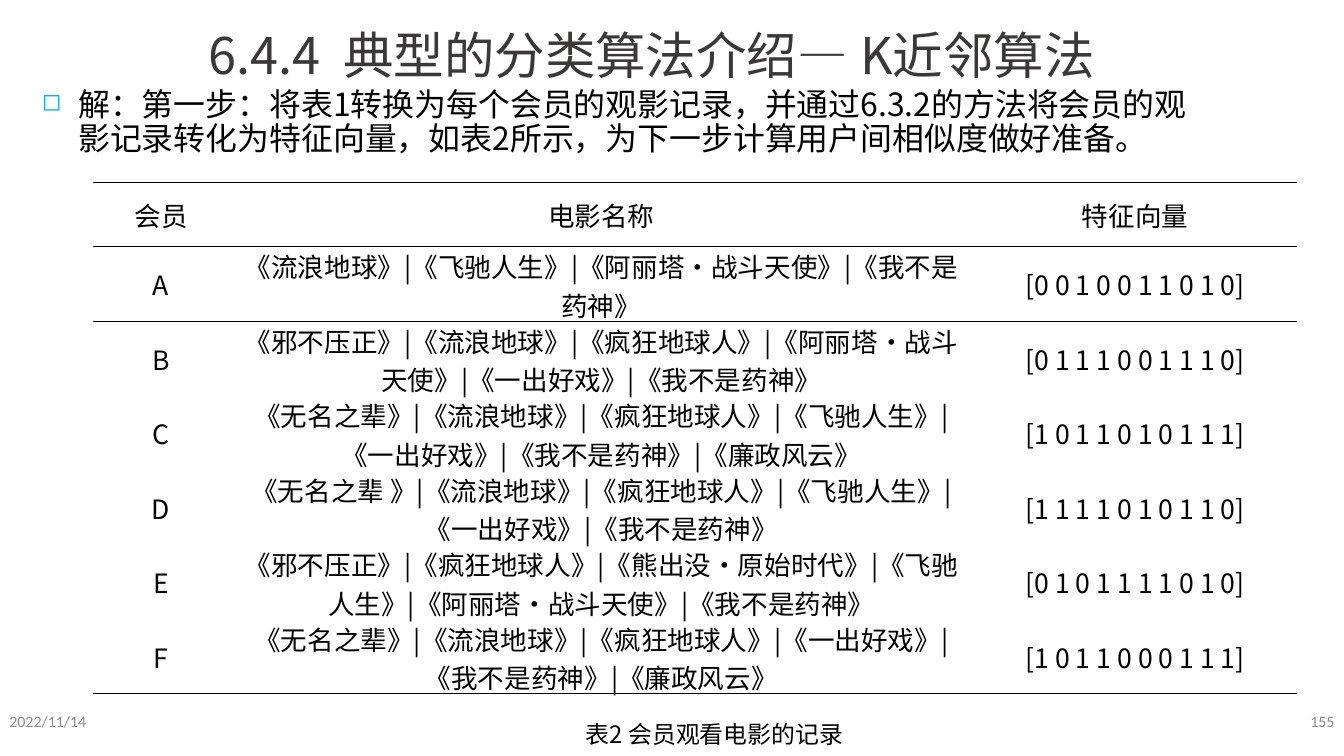
from dataclasses import dataclass

from lxml.etree import SubElement
from pptx import Presentation
from pptx.dml.color import RGBColor
from pptx.enum.text import MSO_ANCHOR as Anchor, PP_ALIGN as Align
from pptx.oxml import parse_xml
from pptx.oxml.ns import nsdecls, qn
from pptx.slide import Slide
from pptx.table import _Cell as Cell
from pptx.text.text import Font, TextFrame, _Paragraph as Paragraph
from pptx.util import Emu, Inches, Pt

COLORS = {"text": "000000", "title": "3B3838", "footer": "8C8C8C", "bullet": "00B0F2"}
CJK = "Noto Sans CJK SC"
WIDTH, HEIGHT = Inches(14.06), Inches(7.91)
PLAIN_TABLE = "{2D5ABB26-0587-4C30-8999-92F81FD0307C}"


@dataclass(frozen=True)
class Area:
    left: float
    top: float
    width: float
    height: float

    def lengths(self) -> tuple[Emu, Emu, Emu, Emu]:
        return (
            Emu(round(WIDTH * self.left / 100)),
            Emu(round(HEIGHT * self.top / 100)),
            Emu(round(WIDTH * self.width / 100)),
            Emu(round(HEIGHT * self.height / 100)),
        )


@dataclass(frozen=True)
class Style:
    size: float
    color: str = "text"
    name: str = CJK
    bold: bool = False


@dataclass(frozen=True)
class Label:
    text: str
    area: Area
    style: Style
    align: Align = Align.LEFT
    anchor: Anchor = Anchor.MIDDLE
    bullet: bool = False


@dataclass(frozen=True)
class Member:
    name: str
    films: str
    vector: str


FOOTER = Style(12, "footer", "Calibri")
TITLE_AREA = Area(14.79, 2.15, 70.34, 9.86)
TITLE_SPANS = (
    ("6.4.4  典型的分类算法介绍—", Style(38, "title")),
    (" ", Style(40, "title", bold=True)),
    ("K近邻算法", Style(38, "title")),
)
LABELS = (
    Label("2022/11/14", Area(0, 92.67, 22.48, 5.31), FOOTER),
    Label("155", Area(77.52, 92.67, 22.48, 5.31), FOOTER, Align.RIGHT),
    Label(
        "解：第一步：将表1转换为每个会员的观影记录，并通过6.3.2的方法将会员的观影记录转化为特征向量，"
        "如表2所示，为下一步计算用户间相似度做好准备。",
        Area(2.42, 11.13, 87.34, 70.16), Style(24), anchor=Anchor.TOP, bullet=True,
    ),
    Label("表2 会员观看电影的记录", Area(37.27, 94.82, 31.79, 4.42), Style(18), Align.CENTER),
)

TABLE_AREA = Area(6.9, 24.15, 89.62, 67.64)
COLUMN_SHARES = (11.35, 61.75, 26.9)
HEADER_SHARE = 12.52
HEADER = Member("会员", "电影名称", "特征向量")
MEMBERS = (
    Member("A", "《流浪地球》|《飞驰人生》|《阿丽塔·战斗天使》|《我不是药神》", "[0 0 1 0 0 1 1 0 1 0]"),
    Member("B", "《邪不压正》|《流浪地球》|《疯狂地球人》|《阿丽塔·战斗天使》|《一出好戏》|《我不是药神》",
           "[0 1 1 1 0 0 1 1 1 0]"),
    Member("C", "《无名之辈》|《流浪地球》|《疯狂地球人》|《飞驰人生》|《一出好戏》|《我不是药神》|《廉政风云》",
           "[1 0 1 1 0 1 0 1 1 1]"),
    Member("D", "《无名之辈 》|《流浪地球》|《疯狂地球人》|《飞驰人生》|《一出好戏》|《我不是药神》",
           "[1 1 1 1 0 1 0 1 1 0]"),
    Member("E", "《邪不压正》|《疯狂地球人》|《熊出没·原始时代》|《飞驰人生》|《阿丽塔·战斗天使》|《我不是药神》",
           "[0 1 0 1 1 1 1 0 1 0]"),
    Member("F", "《无名之辈》|《流浪地球》|《疯狂地球人》|《一出好戏》|《我不是药神》|《廉政风云》",
           "[1 0 1 1 0 0 0 1 1 1]"),
)


def set_font(font: Font, style: Style) -> None:
    font.size = Pt(style.size)
    font.bold = style.bold
    font.color.rgb = RGBColor.from_string(COLORS[style.color])
    font.name = style.name
    SubElement(font._rPr, qn("a:ea"), typeface=style.name)


def add_bullet(para: Paragraph) -> None:
    para.line_spacing = 0.9
    properties = para._p.get_or_add_pPr()
    properties.set("marL", str(Inches(0.38)))
    properties.set("indent", str(-Inches(0.38)))
    for markup in (
        f'<a:buClr {nsdecls("a")}><a:srgbClr val="{COLORS["bullet"]}"/></a:buClr>',
        f'<a:buSzPct {nsdecls("a")} val="75000"/>',
        f'<a:buChar {nsdecls("a")} char="◻"/>',
    ):
        properties.append(parse_xml(markup))


def write(frame: TextFrame, text: str, style: Style, align: Align, bullet: bool = False) -> None:
    para = frame.paragraphs[0]
    para.text = text
    para.alignment = align
    if bullet:
        add_bullet(para)
    set_font(para.font, style)


def add_title(page: Slide) -> None:
    title = page.shapes.title
    title.left, title.top, title.width, title.height = TITLE_AREA.lengths()
    frame = title.text_frame
    frame.word_wrap = False
    frame.vertical_anchor = Anchor.MIDDLE
    para = frame.paragraphs[0]
    para.alignment = Align.LEFT
    for text, style in TITLE_SPANS:
        span = para.add_run()
        span.text = text
        set_font(span.font, style)


def add_label(page: Slide, label: Label) -> None:
    frame = page.shapes.add_textbox(*label.area.lengths()).text_frame
    frame.word_wrap = True
    frame.vertical_anchor = label.anchor
    write(frame, label.text, label.style, label.align, label.bullet)


def add_borders(cell: Cell, sides: list[str]) -> None:
    properties = cell._tc.get_or_add_tcPr()
    for position, side in enumerate(sides):
        properties.insert(position, parse_xml(
            f'<a:ln{side} {nsdecls("a")} w="{Pt(1)}"><a:solidFill>'
            f'<a:srgbClr val="{COLORS["text"]}"/></a:solidFill></a:ln{side}>'
        ))


def add_member_table(page: Slide) -> None:
    records = (HEADER, *MEMBERS)
    frame = page.shapes.add_table(len(records), len(COLUMN_SHARES), *TABLE_AREA.lengths())
    width, height = frame.width, frame.height
    table = frame.table
    table.first_row = table.horz_banding = False
    for style_id in frame.element.iter(qn("a:tableStyleId")):
        style_id.text = PLAIN_TABLE
    for column, share in zip(table.columns, COLUMN_SHARES):
        column.width = Emu(round(width * share / 100))
    member_share = (100 - HEADER_SHARE) / len(MEMBERS)
    for index, (row, record) in enumerate(zip(table.rows, records)):
        row.height = Emu(round(height * (member_share if index else HEADER_SHARE) / 100))
        sides = ["T"] if index < 2 else []
        if index in (0, len(MEMBERS)):
            sides.append("B")
        for cell, text in zip(row.cells, (record.name, record.films, record.vector)):
            cell.margin_left = cell.margin_right = Inches(0.07)
            cell.margin_top = cell.margin_bottom = 0
            cell.vertical_anchor = Anchor.MIDDLE
            cell.fill.background()
            write(cell.text_frame, text, Style(20), Align.CENTER)
            add_borders(cell, sides)


def main() -> None:
    deck = Presentation()
    deck.slide_width, deck.slide_height = WIDTH, HEIGHT
    page = deck.slides.add_slide(deck.slide_layouts[5])
    add_title(page)
    for label in LABELS:
        add_label(page, label)
    add_member_table(page)
    deck.save("out.pptx")


if __name__ == "__main__":
    main()
